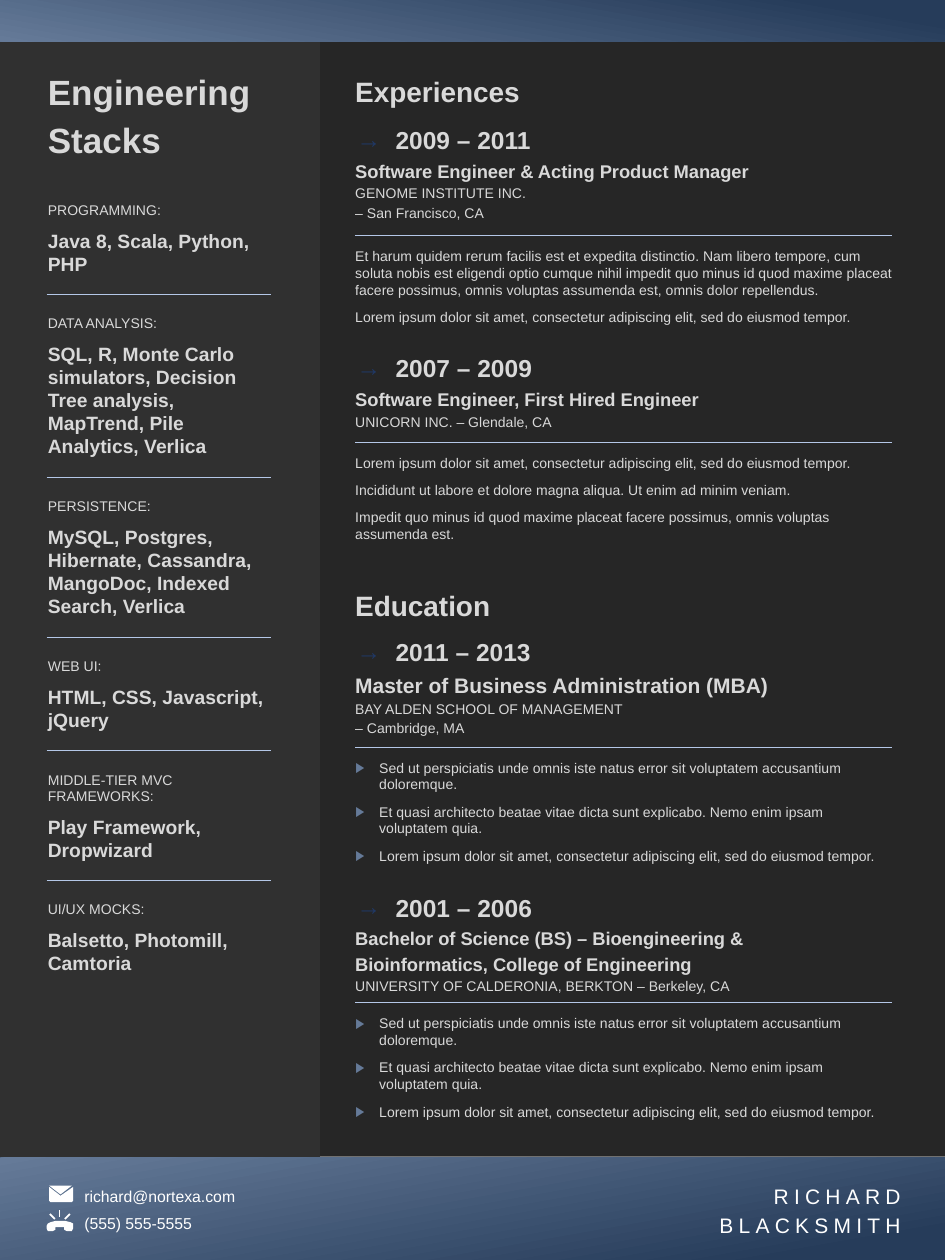
from dataclasses import dataclass

from lxml import etree
from pptx import Presentation
from pptx.dml.color import RGBColor
from pptx.enum.shapes import MSO_CONNECTOR, MSO_SHAPE
from pptx.enum.text import MSO_ANCHOR, MSO_AUTO_SIZE, PP_ALIGN
from pptx.oxml.ns import qn
from pptx.util import Inches, Pt

RECTANGLE, STRAIGHT = MSO_SHAPE.RECTANGLE, MSO_CONNECTOR.STRAIGHT
LEFT, RIGHT, TOP = PP_ALIGN.LEFT, PP_ALIGN.RIGHT, MSO_ANCHOR.TOP
NO_FIT = MSO_AUTO_SIZE.NONE
FONT = "Arial"
COLORS = {
    "page": "262626", "sidebar": "303030", "navy": "263C5A", "steel": "657A98",
    "text": "D9D9D9", "white": "FFFFFF", "rule": "B4C7E7", "arrow": "203864",
}
SIDE_X, MAIN_X = 0.37, 2.81
LOOSE = 1.15


@dataclass
class Stack:
    label: str
    skills: str
    height: float


@dataclass
class Entry:
    top: float
    rule: float
    period: str
    role: list[str]
    role_size: float
    place: list[str]
    details: list[str]
    details_height: float
    bulleted: bool = False


STACKS = [
    Stack("PROGRAMMING:", "Java 8, Scala, Python, PHP", 0.59),
    Stack("DATA ANALYSIS:", "SQL, R, Monte Carlo simulators, Decision Tree analysis, "
          "MapTrend, Pile Analytics, Verlica", 1.14),
    Stack("PERSISTENCE:", "MySQL, Postgres, Hibernate, Cassandra, MangoDoc, Indexed "
          "Search, Verlica", 0.96),
    Stack("WEB UI:", "HTML, CSS, Javascript, jQuery", 0.59),
    Stack("MIDDLE-TIER MVC FRAMEWORKS:", "Play Framework, Dropwizard", 0.72),
    Stack("UI/UX MOCKS:", "Balsetto, Photomill, Camtoria", 0.59),
]
LOREM = "Lorem ipsum dolor sit amet, consectetur adipiscing elit, sed do eiusmod tempor."
STUDY_DETAILS = [
    "Sed ut perspiciatis unde omnis iste natus error sit voluptatem accusantium doloremque.",
    "Et quasi architecto beatae vitae dicta sunt explicabo. Nemo enim ipsam voluptatem quia.",
    LOREM,
]
ENTRIES = [
    Entry(0.96, 1.87, "2009 – 2011", ["Software Engineer & Acting Product Manager"], 10.5,
          ["GENOME INSTITUTE INC.", "– San Francisco, CA"],
          ["Et harum quidem rerum facilis est et expedita distinctio. Nam libero tempore, "
           "cum soluta nobis est eligendi optio cumque nihil impedit quo minus id quod "
           "maxime placeat facere possimus, omnis voluptas assumenda est, omnis dolor "
           "repellendus.", LOREM], 0.62),
    Entry(2.77, 3.51, "2007 – 2009", ["Software Engineer, First Hired Engineer"], 10.5,
          ["UNICORN INC. – Glendale, CA"],
          [LOREM, "Incididunt ut labore et dolore magna aliqua. Ut enim ad minim veniam.",
           "Impedit quo minus id quod maxime placeat facere possimus, omnis voluptas "
           "assumenda est."], 0.71),
    Entry(5.02, 5.93, "2011 – 2013", ["Master of Business Administration (MBA)"], 12,
          ["BAY ALDEN SCHOOL OF MANAGEMENT", "– Cambridge, MA"], STUDY_DETAILS, 0.84, True),
    Entry(7.05, 7.96, "2001 – 2006", ["Bachelor of Science (BS) – Bioengineering &",
          "Bioinformatics, College of Engineering"], 10.5,
          ["UNIVERSITY OF CALDERONIA, BERKTON – Berkeley, CA"], STUDY_DETAILS, 0.84, True),
]
ENVELOPE = [
    [(0.39, 0.42), (0.48, 0.49), (0.58, 0.42), (0.58, 0.53), (0.57, 0.54), (0.4, 0.54),
     (0.39, 0.53)],
    [(0.39, 0.41), (0.57, 0.41), (0.48, 0.48)],
]
PHONE = [
    [(0.37, 0.73), (0.38, 0.71), (0.4, 0.7), (0.44, 0.69), (0.52, 0.69), (0.56, 0.7),
     (0.58, 0.71), (0.58, 0.75), (0.57, 0.77), (0.53, 0.77), (0.51, 0.76), (0.51, 0.74),
     (0.44, 0.74), (0.44, 0.76), (0.42, 0.77), (0.38, 0.77), (0.37, 0.75)],
    [(0.47, 0.6), (0.48, 0.6), (0.48, 0.66), (0.47, 0.66)],
    [(0.55, 0.63), (0.56, 0.64), (0.52, 0.68), (0.51, 0.67)],
    [(0.39, 0.64), (0.4, 0.63), (0.44, 0.67), (0.43, 0.68)],
]


def rgb(name: str) -> RGBColor:
    return RGBColor.from_string(COLORS[name])


def add_paragraph(frame, text: str, *, size: float, bold=False, color="text", spacing=1.0,
                  before=0.0, after=0.0, align=LEFT, tracking=0, bullet="",
                  bullet_color="arrow", indent=0.01, hanging=0.0) -> None:
    paragraph = frame.paragraphs[0]
    if paragraph.runs:
        paragraph = frame.add_paragraph()
    paragraph.alignment, paragraph.line_spacing = align, spacing
    paragraph.space_before, paragraph.space_after = Pt(before), Pt(after)
    run = paragraph.add_run()
    run.text = text
    font = run.font
    font.name, font.size, font.bold = FONT, Pt(size), bold
    font.color.rgb = rgb(color)
    if tracking:
        run._r.get_or_add_rPr().set("spc", str(tracking * 100))
    properties = paragraph._p.get_or_add_pPr()
    properties.set("marL", str(Inches(indent)))
    properties.set("indent", str(-Inches(hanging)))
    if bullet:
        tint = etree.SubElement(properties, qn("a:buClr"))
        etree.SubElement(tint, qn("a:srgbClr")).set("val", COLORS[bullet_color])
        etree.SubElement(properties, qn("a:buFont")).set("typeface", FONT)
        etree.SubElement(properties, qn("a:buChar")).set("char", bullet)
    else:
        etree.SubElement(properties, qn("a:buNone"))


def prepare_frame(holder):
    frame = holder.text_frame
    frame.word_wrap, frame.auto_size, frame.vertical_anchor = True, NO_FIT, TOP
    frame.margin_left = frame.margin_right = frame.margin_top = frame.margin_bottom = 0
    return frame


def add_frame(slide, *box: float):
    return prepare_frame(slide.shapes.add_textbox(*map(Inches, box)))


def place_frame(placeholder, *box: float):
    """Move a placeholder in front of the panels and return its text frame."""
    placeholder.left, placeholder.top, placeholder.width, placeholder.height = map(Inches, box)
    placeholder.element.getparent().append(placeholder.element)
    return prepare_frame(placeholder)


def add_panel(slide, *box: float, color="", angle=0) -> None:
    """Add a flat panel, or a navy to steel gradient when no color is given."""
    panel = slide.shapes.add_shape(RECTANGLE, *map(Inches, box))
    panel.shadow.inherit = False
    panel.line.fill.background()
    if color:
        panel.fill.solid()
        panel.fill.fore_color.rgb = rgb(color)
        return
    panel.fill.gradient()
    panel.fill.gradient_angle = angle
    for stop, name, position in zip(panel.fill.gradient_stops, ("navy", "steel"), (0.11, 1)):
        stop.color.rgb, stop.position = rgb(name), position


def add_rule(slide, left: float, right: float, y: float) -> None:
    rule = slide.shapes.add_connector(STRAIGHT, *map(Inches, (left, y, right, y)))
    rule.line.color.rgb, rule.line.width = rgb("rule"), Pt(0.5)
    etree.SubElement(rule._element.spPr, qn("a:effectLst"))


def add_icon(slide, outlines: list, top: float) -> None:
    for outline in outlines:
        points = [(Inches(x), Inches(top + y)) for x, y in outline]
        builder = slide.shapes.build_freeform(*points[0])
        builder.add_line_segments(points[1:])
        part = builder.convert_to_shape()
        part.shadow.inherit = False
        part.fill.solid()
        part.fill.fore_color.rgb = rgb("white")
        part.line.fill.background()


def add_stacks(slide) -> None:
    top = 1.6
    for stack in STACKS:
        if stack is not STACKS[0]:
            add_rule(slide, SIDE_X, 2.15, top - 0.16)
        frame = add_frame(slide, SIDE_X, top, 1.76, stack.height)
        add_paragraph(frame, stack.label, size=8, after=6)
        add_paragraph(frame, stack.skills, size=11, bold=True, after=6)
        top += stack.height + 0.31


def add_entry(slide, entry: Entry, list_holders: list) -> None:
    add_paragraph(add_frame(slide, MAIN_X, entry.top, 2.13, 0.27), entry.period, size=14,
                  bold=True, spacing=LOOSE, before=0.2, bullet="→", indent=0.33, hanging=0.31)
    role_top = entry.top + 0.285
    role = add_frame(slide, MAIN_X, role_top, 4.27, entry.rule - role_top - 0.08)
    for line in entry.role:
        add_paragraph(role, line, size=entry.role_size, bold=True, spacing=LOOSE, before=0.2)
    for line in entry.place:
        add_paragraph(role, line, size=8, spacing=LOOSE, before=0.2)
    add_rule(slide, MAIN_X + 0.01, 7.08, entry.rule)
    box = (MAIN_X, entry.rule + 0.095, 4.3, entry.details_height)
    details = place_frame(list_holders.pop(0), *box) if entry.bulleted else add_frame(slide, *box)
    style = {"bullet": "▶", "bullet_color": "steel", "indent": 0.2, "hanging": 0.19}
    for line in entry.details:
        add_paragraph(details, line, size=8, after=6, **(style if entry.bulleted else {}))


def main() -> None:
    deck = Presentation()
    deck.slide_width, deck.slide_height = Inches(7.5), Inches(10)
    slide = deck.slides.add_slide(deck.slide_layouts.get_by_name("Two Content"))
    title, *list_holders = slide.placeholders
    add_panel(slide, 0, 0.33, 7.5, 8.85, color="page")
    add_panel(slide, 0, 0.33, 2.54, 9.58, color="sidebar")
    add_panel(slide, 0, 0, 7.5, 0.33, angle=260)
    add_panel(slide, 0, 9.19, 7.5, 0.81, angle=100)

    owner = add_frame(slide, 5.64, 9.36, 1.51, 0.44)
    for name in ("RICHARD", "BLACKSMITH"):
        add_paragraph(owner, name, size=12, color="white", spacing=LOOSE, before=0.2,
                      align=RIGHT, tracking=3)
    for top, contact in ((9.4, "richard@nortexa.com"), (9.61, "(555) 555-5555")):
        add_paragraph(add_frame(slide, 0.66, top, 1.5, 0.17), contact, size=9,
                      color="white", spacing=LOOSE, before=0.2)
    for icon in (ENVELOPE, PHONE):
        add_icon(slide, icon, 9)

    add_paragraph(place_frame(title, SIDE_X, 0.51, 1.92, 0.77), "Engineering Stacks",
                  size=20, bold=True, spacing=LOOSE, before=0.2)
    add_stacks(slide)
    for top, heading in ((0.55, "Experiences"), (4.63, "Education")):
        add_paragraph(add_frame(slide, MAIN_X, top, 1.5, 0.3), heading, size=16,
                      bold=True, spacing=LOOSE, before=0.2)
    for entry in ENTRIES:
        add_entry(slide, entry, list_holders)
    deck.save("out.pptx")


if __name__ == "__main__":
    main()
